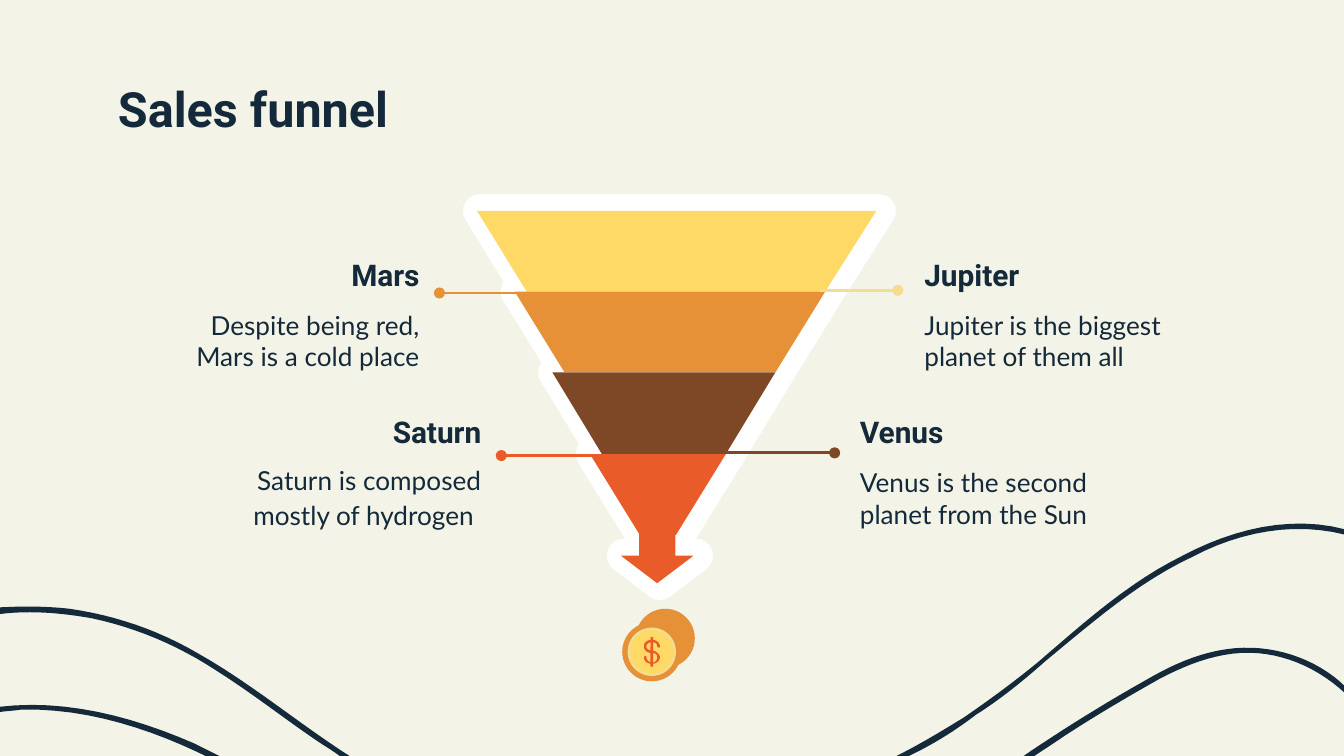
from pptx import Presentation
from pptx.dml.color import RGBColor as RGB
from pptx.enum.shapes import MSO_CONNECTOR as LINK, MSO_SHAPE as KIND
from pptx.enum.text import MSO_ANCHOR as ANCHOR, PP_ALIGN as ALIGN
from pptx.oxml.ns import qn
from pptx.util import Inches, Pt
from lxml.etree import SubElement

CREAM = RGB(0xF3, 0xF4, 0xE7)
NAVY = RGB(0x14, 0x29, 0x3A)
WHITE = RGB(0xFF, 0xFF, 0xFF)
YELLOW = RGB(0xFF, 0xD9, 0x66)
PALE = RGB(0xF5, 0xDC, 0x8F)
ORANGE = RGB(0xE6, 0x91, 0x38)
BROWN = RGB(0x7E, 0x47, 0x25)
RED = RGB(0xE9, 0x5C, 0x29)

STEPS = 12
EDGES = (1.57, 2.17, 2.77, 3.38, 3.98)
RIGHTS = (6.52, 6.14, 5.77, 5.4, 5.03)
BANDS = (YELLOW, ORANGE, BROWN, RED)

WAVES = (
    ((1.68, 5.65), (1.58, 5.65), (1.14, 5.43, 0.66, 5.27, 0.16, 5.28),
     (0.1, 5.29, 0.05, 5.29, -0.01, 5.3), (-0.01, 5.26),
     (0.48, 5.2, 0.98, 5.33, 1.44, 5.53), (1.52, 5.57, 1.6, 5.61, 1.68, 5.65)),
    ((2.64, 5.65), (2.56, 5.65), (2.51, 5.61, 2.45, 5.57, 2.4, 5.54),
     (2.13, 5.36, 1.88, 5.16, 1.61, 4.99), (1.32, 4.8, 1.01, 4.67, 0.68, 4.6),
     (0.45, 4.56, 0.22, 4.54, -0.01, 4.57), (-0.01, 4.52),
     (0.17, 4.51, 0.34, 4.51, 0.52, 4.53), (0.86, 4.58, 1.18, 4.69, 1.47, 4.86),
     (1.88, 5.09, 2.24, 5.4, 2.64, 5.65)),
    ((7.58, 5.65), (7.9, 5.43, 8.24, 5.22, 8.58, 5.03),
     (8.81, 4.9, 9.06, 4.81, 9.32, 4.82), (9.56, 4.83, 9.8, 4.92, 9.98, 5.08),
     (10.01, 5.11), (10.01, 5.16), (9.83, 4.99, 9.6, 4.88, 9.36, 4.86),
     (9.1, 4.84, 8.86, 4.93, 8.63, 5.05), (8.4, 5.18, 8.16, 5.32, 7.93, 5.47),
     (7.84, 5.53, 7.75, 5.59, 7.66, 5.65)),
    ((6.62, 5.65), (6.81, 5.56, 6.99, 5.45, 7.17, 5.34),
     (7.36, 5.21, 7.55, 5.07, 7.72, 4.93), (8.07, 4.63, 8.4, 4.33, 8.81, 4.13),
     (9.17, 3.94, 9.6, 3.83, 10.01, 3.94), (10.01, 3.98),
     (9.63, 3.88, 9.22, 3.96, 8.88, 4.14), (8.47, 4.33, 8.13, 4.63, 7.79, 4.91),
     (7.62, 5.06, 7.45, 5.2, 7.26, 5.32), (7.09, 5.45, 6.91, 5.56, 6.71, 5.65)),
)
DOLLAR = (
    (4.85, 4.76), (4.82, 4.76, 4.79, 4.78, 4.79, 4.81),
    (4.79, 4.84, 4.82, 4.86, 4.85, 4.86), (4.88, 4.86, 4.89, 4.87, 4.89, 4.89),
    (4.89, 4.91, 4.88, 4.93, 4.85, 4.93), (4.83, 4.93, 4.81, 4.91, 4.81, 4.89),
    (4.81, 4.89, 4.81, 4.88, 4.8, 4.88), (4.8, 4.88, 4.79, 4.89, 4.79, 4.89),
    (4.79, 4.92, 4.82, 4.94, 4.85, 4.94), (4.88, 4.94, 4.91, 4.92, 4.91, 4.89),
    (4.91, 4.87, 4.88, 4.84, 4.85, 4.84), (4.83, 4.84, 4.81, 4.83, 4.81, 4.81),
    (4.81, 4.79, 4.83, 4.78, 4.85, 4.78), (4.88, 4.78, 4.89, 4.79, 4.89, 4.81),
    (4.89, 4.81, 4.9, 4.82, 4.9, 4.82), (4.91, 4.82, 4.91, 4.81, 4.91, 4.81),
    (4.91, 4.78, 4.88, 4.76, 4.85, 4.76),
)
LINKS = (
    (3.27, 4.15, 2.18, ORANGE),
    (6.68, 6.1, 2.16, PALE),
    (6.21, 5.39, 3.37, BROWN),
    (3.73, 4.61, 3.39, RED),
)
NOTES = (
    ("Jupiter", "Jupiter is the biggest planet of them all", 6.78, 2.18, ALIGN.LEFT, ""),
    ("Venus", "Venus is the second planet from the Sun", 6.3, 3.35, ALIGN.LEFT, ""),
    ("Mars", "Despite being red, Mars is a cold place", 1.15, 2.18, ALIGN.RIGHT, ""),
    ("Saturn", "Saturn is composed mostly of hydrogen", 1.61, 3.35, ALIGN.RIGHT, " "),
)


def trace(path):
    """Return the points along a path of lines and cubic curves."""
    points = [path[0]]
    for part in path[1:]:
        if len(part) == 2:
            points.append(part)
            continue
        (ax, ay), (bx, by, cx, cy, dx, dy) = points[-1], part
        for step in range(1, STEPS + 1):
            t = step / STEPS
            u = 1 - t
            w = (u ** 3, 3 * u * u * t, 3 * u * t * t, t ** 3)
            points.append((
                w[0] * ax + w[1] * bx + w[2] * cx + w[3] * dx,
                w[0] * ay + w[1] * by + w[2] * cy + w[3] * dy,
            ))
    return points


class Deck:
    """Hold the style and the current slide."""

    def __init__(self):
        self.show = Presentation()
        self.show.slide_width = Inches(10)
        self.show.slide_height = Inches(10) * 9 // 16
        self.slide = self.show.slides.add_slide(self.show.slide_layouts[6])
        self.shapes = self.slide.shapes
        ground = self.slide.background.fill
        ground.solid()
        ground.fore_color.rgb = CREAM

    def paint(self, shape, fill, line=None):
        """Give a shape its flat fill and optional wide line."""
        shape.shadow.inherit = False
        shape.fill.solid()
        shape.fill.fore_color.rgb = fill
        if line:
            shape.line.color.rgb = fill
            shape.line.width = Pt(line)
        else:
            shape.line.fill.background()

    def form(self, path, fill, line=None):
        """Draw a closed outline."""
        points = [(Inches(x), Inches(y)) for x, y in trace(path)]
        pen = self.shapes.build_freeform(*points[0], scale=1.0)
        pen.add_line_segments(points[1:], close=True)
        self.paint(pen.convert_to_shape(), fill, line)

    def shape(self, kind, at, fill, line=None):
        """Draw a preset shape."""
        self.paint(self.shapes.add_shape(kind, *map(Inches, at)), fill, line)

    def disc(self, x, y, radius, fill):
        """Draw a circle about its centre."""
        self.shape(KIND.OVAL, (x - radius, y - radius, 2 * radius, 2 * radius), fill)

    def link(self, start, end, y, color):
        """Draw a level line that starts with a dot."""
        line = self.shapes.add_connector(
            LINK.STRAIGHT, Inches(start), Inches(y), Inches(end), Inches(y))
        line.line.color.rgb = color
        line.line.width = Pt(1.5)
        props = line._element.spPr
        SubElement(props.find(qn("a:ln")), qn("a:headEnd"), type="oval")
        SubElement(props, qn("a:effectLst"))

    def text(self, at, text, size=14, font="Lato", bold=False, align=ALIGN.LEFT,
             anchor=ANCHOR.MIDDLE, pad=0.1, space=None, after=None, tail=""):
        """Write one paragraph in a box."""
        frame = self.shapes.add_textbox(*map(Inches, at)).text_frame
        frame.word_wrap = True
        frame.vertical_anchor = anchor
        frame.margin_left = frame.margin_right = Inches(0.1)
        frame.margin_top = frame.margin_bottom = Inches(pad)
        para = frame.paragraphs[0]
        para.alignment = align
        para.line_spacing = space
        para.space_after = after
        for words, face, points in ((text, font, size), (tail, "League Spartan", 16)):
            if words:
                run = para.add_run()
                run.text = words
                run.font.name, run.font.size = face, Pt(points)
                run.font.bold = bold
                run.font.color.rgb = NAVY

    def funnel(self, shift=0, fill=None, line=None):
        """Draw the four bands of the funnel."""
        for i, color in enumerate(BANDS):
            left = 3.55 + 0.28 * i + shift
            top, low = EDGES[i:i + 2]
            right, inner = RIGHTS[i:i + 2]
            self.form(((left, top), (left + 0.37, low), (inner + shift, low),
                       (right + shift, top)), fill or color, line)

    def arrow(self, left, fill, line=None):
        """Draw the arrow under the funnel."""
        self.shape(KIND.DOWN_ARROW, (left, 3.93, 0.54, 0.41), fill, line)


def main():
    """Build the slide."""
    deck = Deck()
    for wave in WAVES:
        deck.form(wave, NAVY)
    deck.text((0.78, 0.49, 8.44, 0.63), "Sales funnel", size=26, font="Roboto",
              bold=True, anchor=ANCHOR.TOP)
    deck.funnel(0.02, WHITE, 18)
    deck.arrow(4.64, WHITE, 18)
    deck.funnel()
    for link in LINKS:
        deck.link(*link)
    deck.arrow(4.62, RED)
    for name, words, left, top, align, tail in NOTES:
        shift = 0.03 if align == ALIGN.RIGHT else 0
        deck.text((left, top, 2.07, 0.71), words, align=align, pad=0, tail=tail)
        deck.text((left + shift, top - 0.32, 2.04, 0.32), name, size=16, font="Roboto",
                  bold=True, align=align, space=1.15, after=Pt(12))
    deck.disc(4.95, 4.75, 0.22, ORANGE)
    for radius, fill in ((0.22, ORANGE), (0.18, PALE), (0.16, YELLOW)):
        deck.disc(4.85, 4.85, radius, fill)
    deck.form(DOLLAR, RED)
    deck.shape(KIND.ROUNDED_RECTANGLE, (4.84, 4.74, 0.02, 0.22), RED)
    deck.show.save("out.pptx")


if __name__ == "__main__":
    main()
